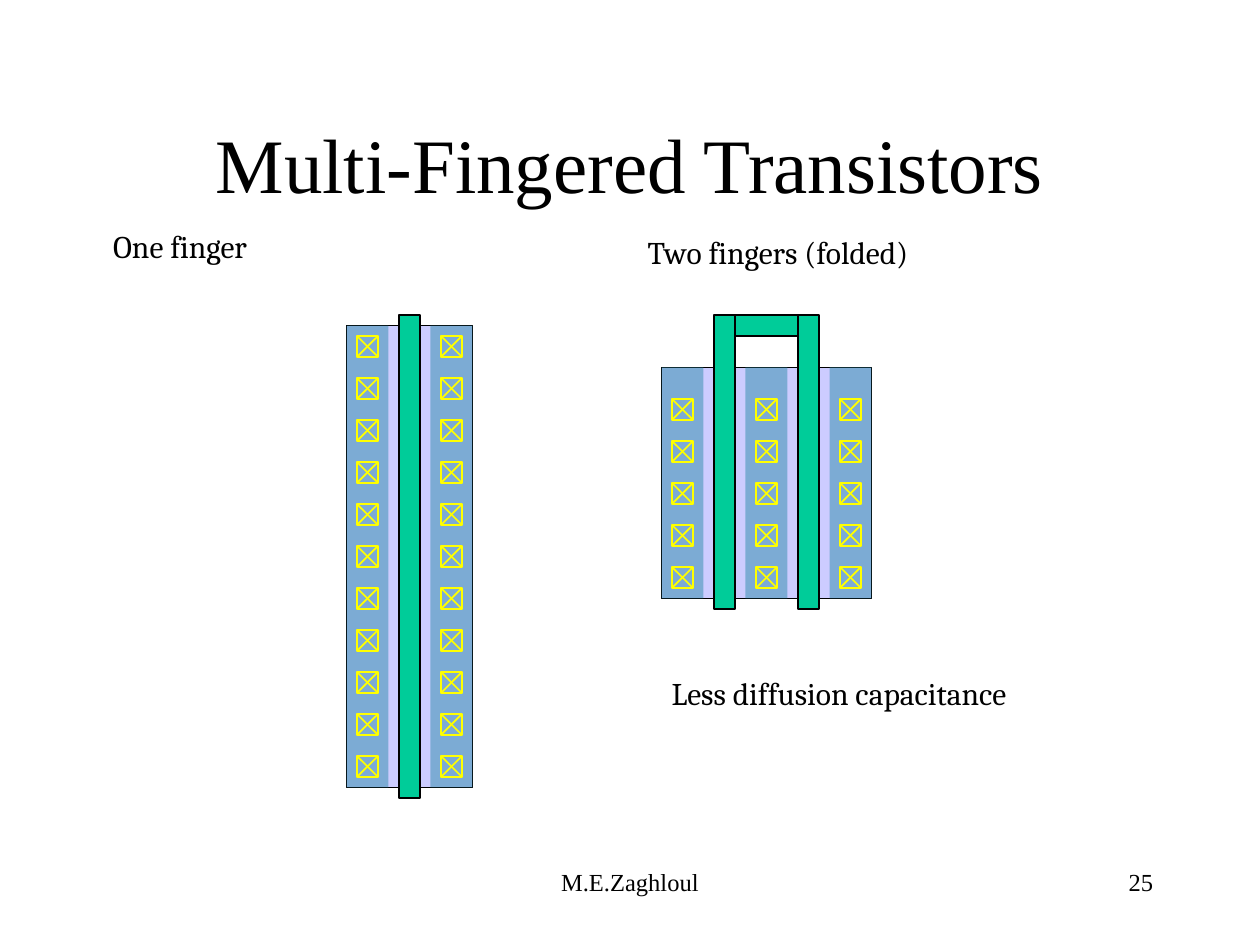
from dataclasses import dataclass

from lxml import etree
from pptx import Presentation
from pptx.dml.color import RGBColor
from pptx.enum.shapes import MSO_CONNECTOR, MSO_SHAPE
from pptx.enum.text import MSO_ANCHOR, PP_ALIGN
from pptx.oxml.ns import qn
from pptx.util import Pt

RECT = MSO_SHAPE.RECTANGLE
LINE = MSO_CONNECTOR.STRAIGHT
TOP, MIDDLE = MSO_ANCHOR.TOP, MSO_ANCHOR.MIDDLE
LEFT, CENTER, RIGHT = PP_ALIGN.LEFT, PP_ALIGN.CENTER, PP_ALIGN.RIGHT


@dataclass(frozen=True)
class Theme:
    ink: str = "000000"
    well: str = "CCCCFF"
    strip: str = "2E8CAA"
    gate: str = "00CC99"
    via: str = "FFFF00"
    serif: str = "Times New Roman"
    label: str = "Cambria"
    title: int = 44
    body: int = 18
    foot: int = 14


THEME = Theme()
UNIT = 12           # gate width and contact side
STRIP = 2 * UNIT    # diffusion width and contact pitch
PITCH = 4 * UNIT    # distance between diffusions
EDGE = UNIT / 2     # contact margin and gate overhang


def color(code):
    return RGBColor.from_string(code)


def text(slide, words, box, size=THEME.body, font=THEME.label, align=LEFT,
         anchor=TOP, wrap=True):
    frame = slide.shapes.add_textbox(*map(Pt, box)).text_frame
    frame.word_wrap = wrap
    frame.vertical_anchor = anchor
    para = frame.paragraphs[0]
    para.alignment = align
    run = para.add_run()
    run.text = words
    run.font.size = Pt(size)
    run.font.name = font
    run.font.color.rgb = color(THEME.ink)


def rect(shapes, box, fill=None, line=None, alpha=None):
    """Draw a rectangle; alpha is the opacity of its fill in percent."""
    shape = shapes.add_shape(RECT, *map(Pt, box))
    shape.shadow.inherit = False
    if fill:
        shape.fill.solid()
        shape.fill.fore_color.rgb = color(fill)
    else:
        shape.fill.background()
    if line:
        shape.line.color.rgb = color(line)
        shape.line.width = Pt(1)
    else:
        shape.line.fill.background()
    if alpha:
        tint = shape.fill._xPr.find(".//" + qn("a:srgbClr"))
        etree.SubElement(tint, qn("a:alpha"), val=str(alpha * 1000))


def stroke(shapes, start, end):
    line = shapes.add_connector(LINE, *map(Pt, start + end))
    line.line.color.rgb = color(THEME.via)
    line.line.width = Pt(1)
    etree.SubElement(line._element.spPr, qn("a:effectLst"))


def contact(slide, x, y):
    """Draw a crossed square at x, y as one group."""
    parts = slide.shapes.add_group_shape().shapes
    rect(parts, (x, y, UNIT, UNIT), line=THEME.via)
    stroke(parts, (x, y), (x + UNIT, y + UNIT))
    stroke(parts, (x + UNIT, y), (x, y + UNIT))


def device(slide, box, fingers, rows, rise=EDGE):
    """Draw a transistor in box; its gates stand out by rise at the top."""
    x, y, width, height = box
    rect(slide.shapes, box, fill=THEME.well, line=THEME.ink)
    for col in range(fingers + 1):
        left = x + col * PITCH
        rect(slide.shapes, (left, y, STRIP, height), fill=THEME.strip, alpha=50)
        low = y + height - EDGE - UNIT
        for row in range(rows):
            contact(slide, left + EDGE, low - row * STRIP)

    first, head = x + STRIP + EDGE, y - rise
    for num in range(fingers):
        rect(slide.shapes, (first + num * PITCH, head, UNIT, height + rise + EDGE),
             fill=THEME.gate, line=THEME.ink)
    for num in range(fingers - 1):
        rect(slide.shapes, (first + num * PITCH + UNIT, head, PITCH - UNIT, UNIT),
             fill=THEME.gate, line=THEME.ink)


def single(slide, x, y):
    text(slide, "One finger", (x, y, 105, 28.8), wrap=False)
    device(slide, (x + 140.4, y + 60, 72, 264), fingers=1, rows=11)


def folded(slide, x, y):
    text(slide, "Two fingers (folded)", (x, y, 183, 28.8), wrap=False)
    device(slide, (x + 15, y + 80.4, 120, 132), fingers=2, rows=5, rise=30)
    text(slide, "Less diffusion capacitance", (x + 13.7, y + 252, 234.7, 28.8),
         wrap=False)


def footer(slide, y):
    style = dict(size=THEME.foot, font=THEME.serif)
    text(slide, "M.E.Zaghloul", (246, y, 228, 36), align=CENTER, **style)
    text(slide, "25", (516, y, 150, 36), align=RIGHT, **style)


def main():
    deck = Presentation()
    deck.slide_width, deck.slide_height = Pt(720), Pt(540)
    slide = deck.slides.add_slide(deck.slide_layouts[6])
    text(slide, "Multi-Fingered Transistors", (54, 48, 612, 90),
         size=THEME.title, font=THEME.serif, align=CENTER, anchor=MIDDLE)
    single(slide, 57.6, 126)
    folded(slide, 363, 129.6)
    footer(slide, 492)
    deck.save("out.pptx")


if __name__ == "__main__":
    main()
